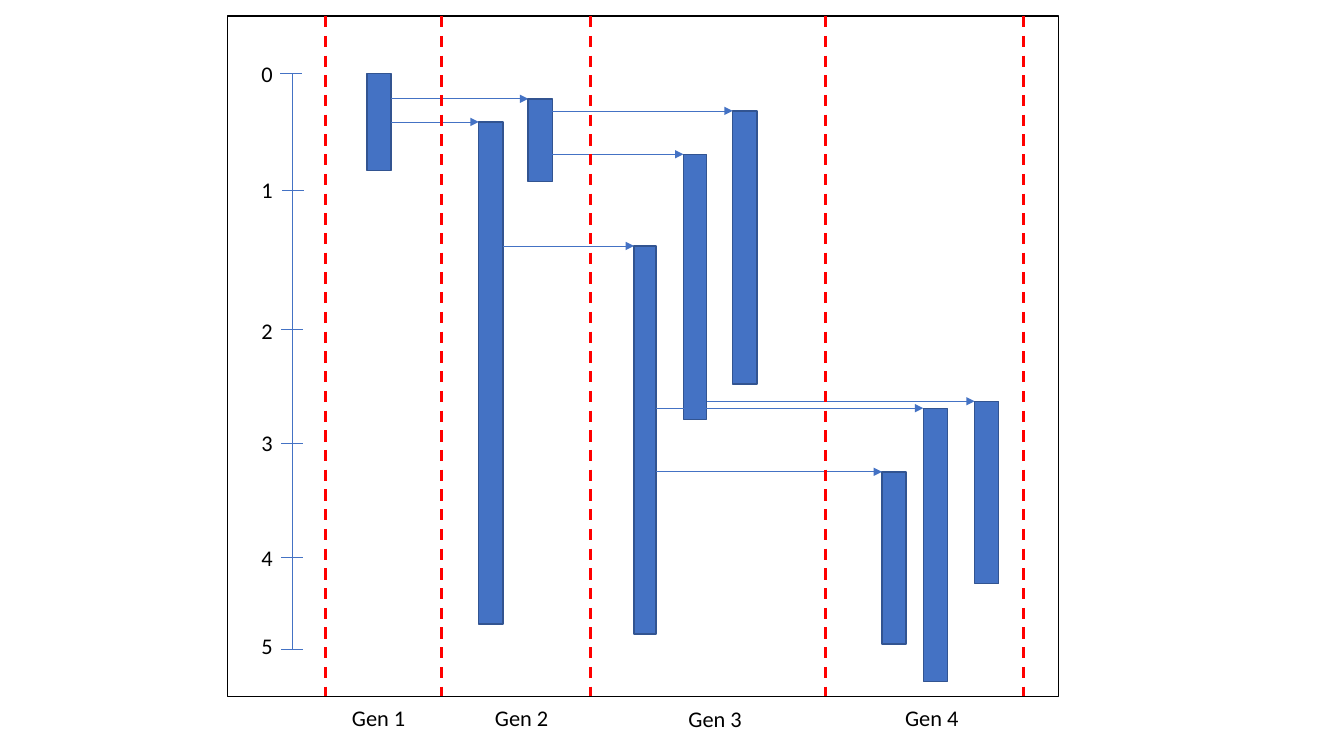
"""Builds a slide of four generations of bars along a time axis."""
from lxml import etree
from pptx import Presentation
from pptx.dml.color import RGBColor
from pptx.enum.dml import MSO_LINE
from pptx.enum.shapes import MSO_CONNECTOR, MSO_SHAPE
from pptx.enum.text import MSO_ANCHOR, PP_ALIGN
from pptx.oxml.ns import qn
from pptx.util import Pt

BLUE = RGBColor(0x44, 0x72, 0xC4)
EDGE = RGBColor(0x32, 0x54, 0x91)
RED = RGBColor(0xFF, 0x00, 0x00)
BLACK = RGBColor(0x00, 0x00, 0x00)
RECT = MSO_SHAPE.RECTANGLE
LINE = MSO_CONNECTOR.STRAIGHT
DASH = MSO_LINE.DASH
MIDDLE = MSO_ANCHOR.MIDDLE
CENTER = PP_ALIGN.CENTER

FRAME = (162.7, 11.5, 593.3, 486)
AXIS = 208.8
TICK = 15.8
# Each tick: label, left end, height of the mark, middle of the label.
TICKS = [
    ("0", 200.2, 52.6, 52.2),
    ("1", 201.6, 136.1, 135.7),
    ("2", 200.9, 235.4, 235.8),
    ("3", 200.9, 316.8, 316.4),
    ("4", 200.9, 398.2, 398.5),
    ("5", 200.9, 463.7, 461.2),
]
# Each bar: name, parent, left, top, width, height.
BARS = [
    ("1a", None, 262.1, 52.6, 17.3, 69.1),
    ("2a", "1a", 342, 87.1, 17.3, 358.6),
    ("2b", "1a", 377.3, 70.6, 17.3, 59),
    ("3c", "2b", 523.4, 79.2, 17.3, 195.1),
    ("3b", "2b", 488.2, 110.2, 16.6, 189.4),
    ("3a", "2a", 452.9, 175.7, 15.8, 277.2),
    ("4c", "3b", 696.2, 286.6, 17.3, 130.3),
    ("4b", "3a", 659.5, 291.6, 17.3, 195.1),
    ("4a", "3a", 630, 337, 17.3, 123.1),
]
BOUNDS = [232.6, 315.4, 421.9, 589.7, 730.8]
GENS = [
    ("Gen 1", 239.8, 512.3),
    ("Gen 2", 342, 512.3),
    ("Gen 3", 480.2, 513),
    ("Gen 4", 635, 512.3),
]

prs = Presentation()
prs.slide_width, prs.slide_height = Pt(960), Pt(540)
shapes = prs.slides.add_slide(prs.slide_layouts[6]).shapes


def box(spot, edge, fill=None):
    """Adds a rectangle with a thin edge."""
    rect = shapes.add_shape(RECT, *map(Pt, spot))
    rect.shadow.inherit = False
    rect.line.color.rgb = edge
    rect.line.width = Pt(1)
    if fill is None:
        rect.fill.background()
    else:
        rect.fill.solid()
        rect.fill.fore_color.rgb = fill


def rule(x1, y1, x2, y2, color=BLUE, width=0.5, dash=None, arrow=False):
    """Adds a straight line, dashed or with an arrowhead on request."""
    wire = shapes.add_connector(LINE, *map(Pt, (x1, y1, x2, y2)))
    wire.line.color.rgb = color
    wire.line.width = Pt(width)
    if dash is not None:
        wire.line.dash_style = dash
    if arrow:
        edge = wire.line._get_or_add_ln()
        etree.SubElement(edge, qn("a:tailEnd"), type="triangle")
    etree.SubElement(wire._element.spPr, qn("a:effectLst"))


def label(text, left, mid, width, height):
    """Adds centred text around a given middle height."""
    spot = (left, mid - height / 2, width, height)
    frame = shapes.add_textbox(*map(Pt, spot)).text_frame
    frame.word_wrap = True
    frame.vertical_anchor = MIDDLE
    frame.margin_left = frame.margin_right = 0
    frame.margin_top = frame.margin_bottom = 0
    par = frame.paragraphs[0]
    par.text = text
    par.alignment = CENTER
    par.font.name = "Calibri"
    par.font.size = Pt(16)
    par.font.color.rgb = BLACK


box(FRAME, BLACK)
rule(AXIS, TICKS[0][2], AXIS, TICKS[-1][2])
for text, left, y, mid in TICKS:
    rule(left, y, left + TICK, y)
    label(text, 182.9, mid, 15.8, 16.6)

ends = {}
for name, parent, left, top, width, height in BARS:
    if parent:
        rule(ends[parent], top, left, top, arrow=True)
    box((left, top, width, height), EDGE, BLUE)
    ends[name] = left + width

for x in BOUNDS:
    rule(x, FRAME[1], x, FRAME[1] + FRAME[3], RED, 2, DASH)
for text, left, mid in GENS:
    label(text, left, mid, 61.2, 20.9)

prs.save("out.pptx")
